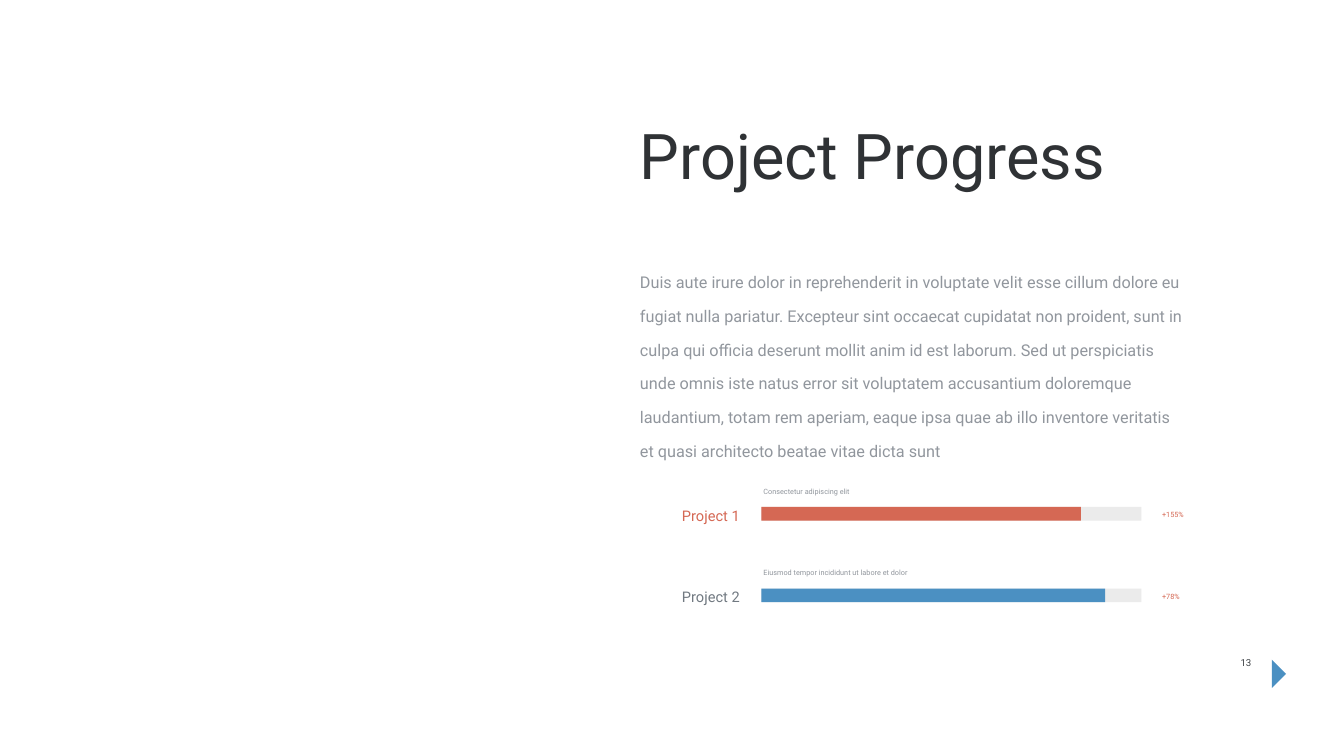
from dataclasses import dataclass

from pptx import Presentation
from pptx.dml.color import RGBColor
from pptx.enum.shapes import MSO_SHAPE
from pptx.enum.text import MSO_ANCHOR, MSO_AUTO_SIZE, PP_ALIGN
from pptx.util import Pt

PX = 9144  # EMU in one px, 100 px to the inch
FONT = "Roboto"
INSET = 6

INK = RGBColor(0x2F, 0x32, 0x35)
DARK = RGBColor(0x3F, 0x43, 0x47)
SLATE = RGBColor(0x71, 0x79, 0x81)
GREY = RGBColor(0x91, 0x96, 0x9D)
TRACK = RGBColor(0xEB, 0xEB, 0xEB)
RED = RGBColor(0xD5, 0x68, 0x54)
BLUE = RGBColor(0x4B, 0x90, 0xC2)

RECT = MSO_SHAPE.RECTANGLE
TOP, MIDDLE = MSO_ANCHOR.TOP, MSO_ANCHOR.MIDDLE
LEFT, CENTER, RIGHT = PP_ALIGN.LEFT, PP_ALIGN.CENTER, PP_ALIGN.RIGHT
GROW, FIXED = MSO_AUTO_SIZE.SHAPE_TO_FIT_TEXT, MSO_AUTO_SIZE.NONE

BODY = (
    "Duis aute irure dolor in reprehenderit in voluptate velit esse cillum "
    "dolore eu fugiat nulla pariatur. Excepteur sint occaecat cupidatat non "
    "proident, sunt in culpa qui officia deserunt mollit anim id est laborum. "
    "Sed ut perspiciatis unde omnis iste natus error sit voluptatem accusantium "
    "doloremque laudantium, totam rem aperiam, eaque ipsa quae ab illo inventore "
    "veritatis et quasi architecto beatae vitae dicta sunt"
)


@dataclass
class Box:
    x: int
    y: int
    w: int
    h: int

    def emu(self) -> list[int]:
        return [n * PX for n in (self.x, self.y, self.w, self.h)]


@dataclass
class Style:
    size: int
    color: RGBColor
    raised: int = 0  # baseline shift in percent
    align: PP_ALIGN = LEFT
    anchor: MSO_ANCHOR = MIDDLE
    spacing: float = 0.7
    fit: MSO_AUTO_SIZE = GROW


@dataclass
class Project:
    name: str
    note: str
    change: str
    done: int  # length of the filled bar
    label_x: int
    label_color: RGBColor
    bar_color: RGBColor


def paint(shape, color: RGBColor) -> None:
    shape.fill.solid()
    shape.fill.fore_color.rgb = color
    shape.line.fill.background()
    shape.shadow.inherit = False


def add_text(slide, text: str, box: Box, style: Style) -> None:
    frame = slide.shapes.add_textbox(*box.emu()).text_frame
    frame.text = text
    frame.word_wrap = True
    frame.auto_size = style.fit
    frame.vertical_anchor = style.anchor
    frame.margin_left = frame.margin_right = INSET * PX
    frame.margin_top = frame.margin_bottom = INSET * PX
    para = frame.paragraphs[0]
    para.alignment = style.align
    para.line_spacing = style.spacing
    run = para.runs[0]
    run.font.name = FONT
    run.font.size = Pt(style.size)
    run.font.color.rgb = style.color
    if style.raised:
        run._r.get_or_add_rPr().set("baseline", str(style.raised * 1000))


def add_bar(slide, box: Box, color: RGBColor) -> None:
    paint(slide.shapes.add_shape(RECT, *box.emu()), color)


def add_row(slide, item: Project, y: int) -> None:
    add_bar(slide, Box(1511, y, 754, 27), TRACK)
    add_text(slide, item.name, Box(item.label_x, y - 15, 1474 - item.label_x, 94),
             Style(36, item.label_color, 33, RIGHT))
    add_text(slide, item.note, Box(1509, y - 47, 550, 61), Style(18, GREY, 67))
    add_text(slide, item.change, Box(2300, y, 174, 61), Style(18, RED, 67))
    add_bar(slide, Box(1511, y, item.done, 27), item.bar_color)


def add_arrow(slide, x: int, y: int, w: int, h: int) -> None:
    pen = slide.shapes.build_freeform(x, y, scale=PX)
    pen.add_line_segments([(x + w, y + h // 2), (x, y + h)], close=True)
    paint(pen.convert_to_shape(), BLUE)


def main() -> None:
    deck = Presentation()
    deck.slide_width, deck.slide_height = 2667 * PX, 1500 * PX
    slide = deck.slides.add_slide(deck.slide_layouts[6])

    # Page mark
    add_arrow(slide, 2524, 1309, 28, 56)
    add_text(slide, "13", Box(2422, 1298, 101, 56),
             Style(24, DARK, 50, CENTER, TOP, 1.0))

    # Heading and body
    add_text(slide, "Project Progress", Box(1264, 191, 1218, 250),
             Style(90, INK, spacing=0.9, fit=FIXED))
    add_text(slide, BODY, Box(1264, 534, 1095, 325),
             Style(40, GREY, 43, anchor=TOP, spacing=1.0))

    # Progress rows
    rows = [
        Project("Project 1", "Consectetur adipiscing elit", "+155%",
                634, 1193, RED, RED),
        Project("Project 2", "Eiusmod tempor incididunt ut labore et dolor", "+78%",
                682, 1211, SLATE, BLUE),
    ]
    for i, item in enumerate(rows):
        add_row(slide, item, 1006 + 162 * i)

    deck.save("out.pptx")


if __name__ == "__main__":
    main()
